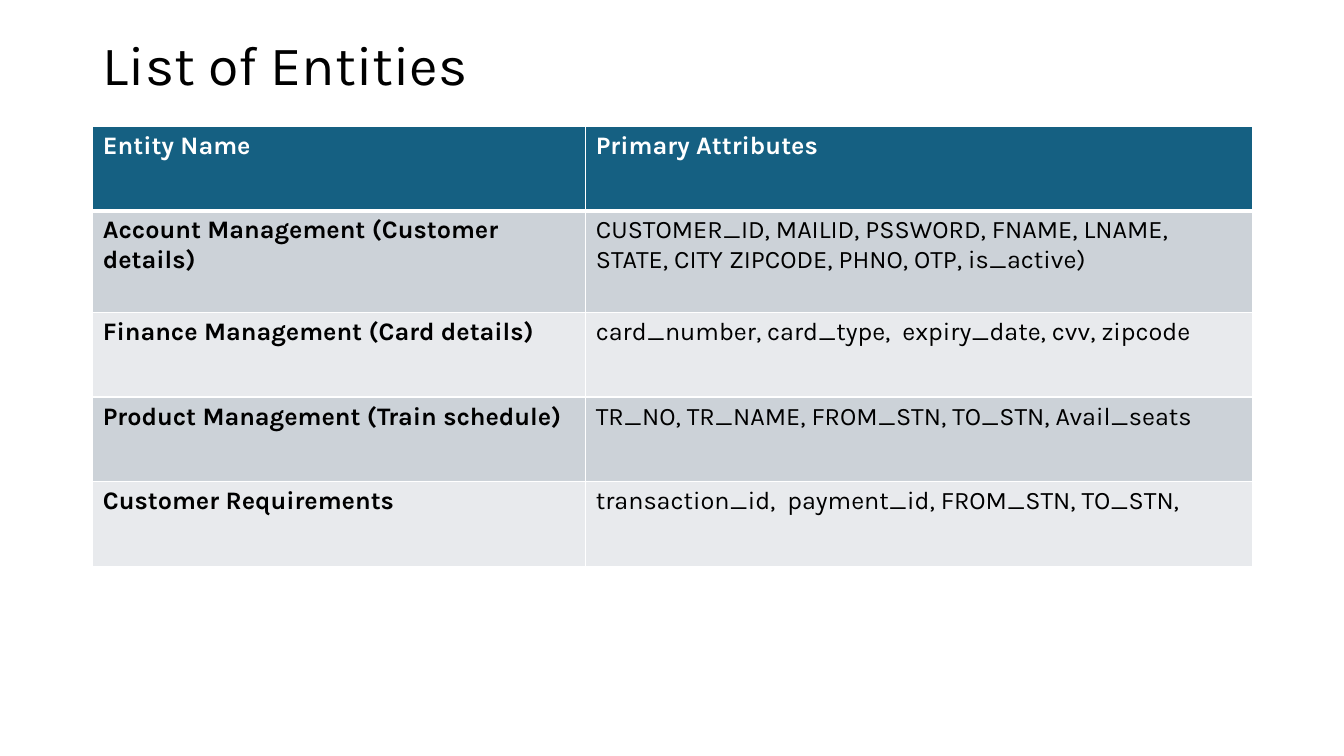
from lxml import etree
from pptx import Presentation
from pptx.dml.color import RGBColor
from pptx.enum import text
from pptx.oxml import ns
from pptx.util import Inches, Pt

TITLE = "List of Entities"
HEADER = ("Entity Name", "Primary Attributes")
ENTITIES = [
    ("Account Management (Customer details)",
     "CUSTOMER_ID, MAILID, PSSWORD, FNAME, LNAME, STATE, CITY ZIPCODE, PHNO, OTP, is_active)"),
    ("Finance Management (Card details)",
     "card_number, card_type,  expiry_date, cvv, zipcode"),
    ("Product Management (Train schedule)",
     "TR_NO, TR_NAME, FROM_STN, TO_STN, Avail_seats"),
    ("Customer Requirements",
     "transaction_id,  payment_id, FROM_STN, TO_STN,"),
]

LEFT, WIDTH = 0.92, 11.5
TITLE_TOP, TITLE_HEIGHT = 0.4, 0.54
TABLE_TOP = 1.25
COL_WIDTHS = (4.89, 6.61)
ROW_HEIGHTS = (0.84, 1.01, 0.84, 0.84, 0.84)
FONT = "Karla"
BLACK, WHITE, TEAL = "000000", "FFFFFF", "156082"
BANDS = ("CCD2D8", "E8EAED")


def rgb(value):
    return RGBColor.from_string(value)


def write(tf, content, size, color, bold=False):
    p = tf.paragraphs[0]
    r = p.add_run()
    r.text = content
    for name, value in {"name": FONT, "size": Pt(size), "bold": bold}.items():
        setattr(r.font, name, value)
    r.font.color.rgb = rgb(color)
    return p


def add_borders(cell, widths):
    """Draw white cell borders; widths maps sides L, R, T, B to points."""
    tc_pr = cell._tc.get_or_add_tcPr()
    for side, width in widths.items():
        ln = etree.SubElement(tc_pr, ns.qn(f"a:ln{side}"), w=str(Pt(width)))
        fill = etree.SubElement(ln, ns.qn("a:solidFill"))
        etree.SubElement(fill, ns.qn("a:srgbClr"), val=WHITE)


def add_title(s):
    box = s.shapes.add_textbox(*map(Inches, (LEFT, TITLE_TOP, WIDTH, TITLE_HEIGHT)))
    tf = box.text_frame
    tf.word_wrap = True
    tf.vertical_anchor = text.MSO_ANCHOR.MIDDLE
    write(tf, TITLE, 39.6, BLACK).line_spacing = 0.9


def add_entity_table(s):
    rows = [HEADER, *ENTITIES]
    frame = s.shapes.add_table(
        len(rows), len(HEADER),
        *map(Inches, (LEFT, TABLE_TOP, WIDTH, sum(ROW_HEIGHTS))))
    table = frame.table
    for column, width in zip(table.columns, COL_WIDTHS):
        column.width = Inches(width)
    for i, (row, height) in enumerate(zip(rows, ROW_HEIGHTS)):
        table.rows[i].height = Inches(height)
        is_header = i == 0
        for j, content in enumerate(row):
            cell = table.cell(i, j)
            add_borders(cell, {"L": 1, "R": 1, "T": 3 if i == 1 else 1,
                               "B": 3 if is_header else 1})
            cell.fill.solid()
            cell.fill.fore_color.rgb = rgb(TEAL if is_header else BANDS[(i - 1) % 2])
            write(cell.text_frame, content, 18, WHITE if is_header else BLACK,
                  bold=is_header or j == 0)


def main():
    prs = Presentation()
    prs.slide_width, prs.slide_height = Inches(13.33), Inches(7.5)
    s = prs.slides.add_slide(prs.slide_layouts[6])
    add_title(s)
    add_entity_table(s)
    prs.save("out.pptx")


if __name__ == "__main__":
    main()
